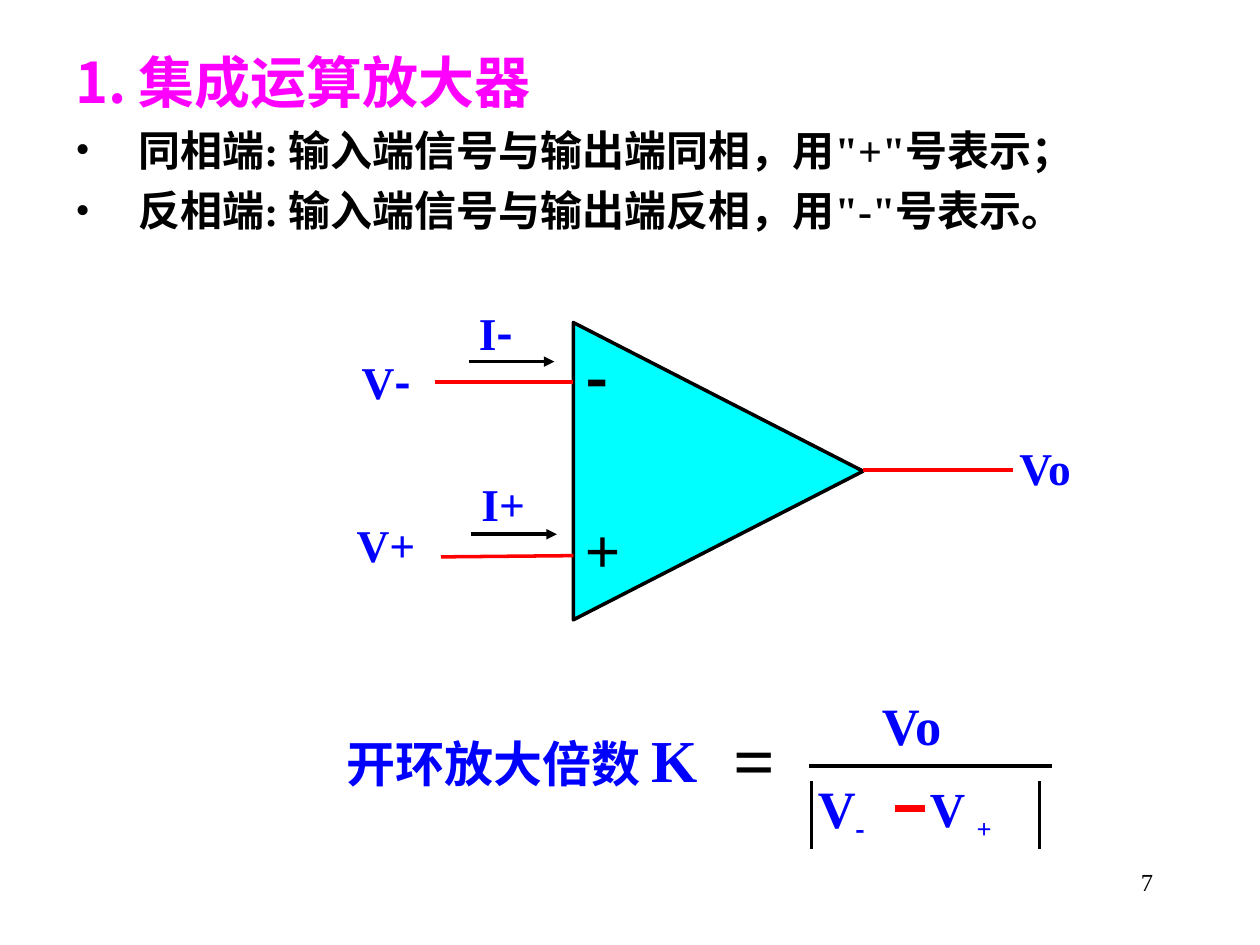
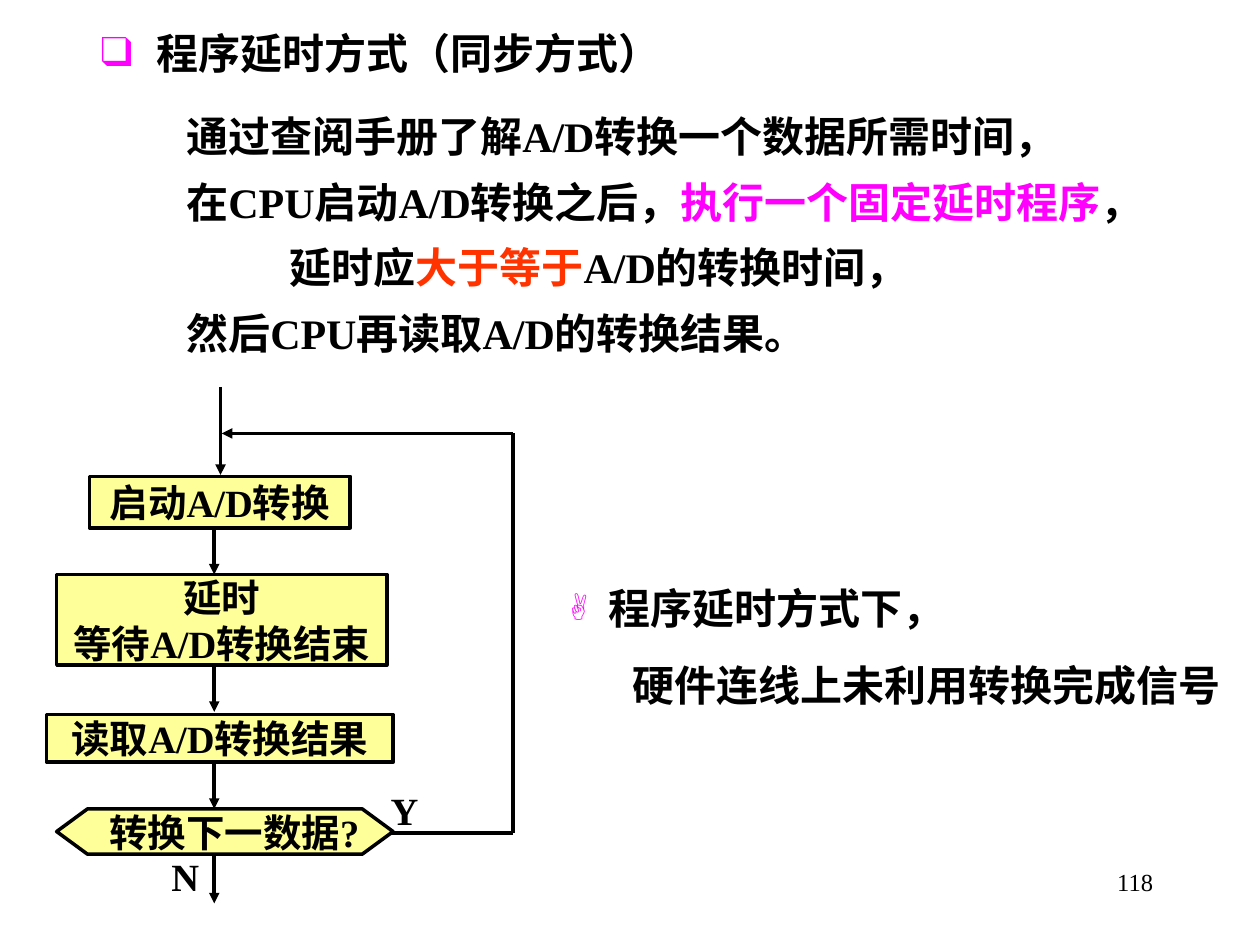
from lxml import etree
from pptx import Presentation
from pptx.dml.color import RGBColor
from pptx.enum import lang, shapes, text
from pptx.oxml import ns
from pptx.util import Inches, Pt

COLORS = {"black": "000000", "white": "FFFFFF", "blue": "0000FF", "red": "FF0000",
          "magenta": "FF00FF", "orange": "FF3300", "cyan": "00FFFF", "yellow": "FFFF99"}
SERIF, SANS = "Times New Roman", "Noto Sans CJK SC"
LINE_HEIGHT = 1.19
INSET = (0.1, 0.05)
SHAPE = shapes.MSO_SHAPE
CENTER, RIGHT = text.PP_ALIGN.CENTER, text.PP_ALIGN.RIGHT


def rgb(name):
    return RGBColor.from_string(COLORS[name])


def sub(parent, tag, **attrs):
    el = etree.SubElement(parent, ns.qn(tag))
    for key, value in attrs.items():
        el.set(key, str(value))
    return el


def run(words, size=24, color="black", font=SERIF, bold=True, base=0):
    return dict(words=words, size=size, color=color, font=font, bold=bold, base=base)


def add_run(p, words, size, color, font, bold, base):
    r = p.add_run()
    r.text = words
    f = r.font
    f.size, f.bold, f.name = Pt(size), bold, font
    f.color.rgb = rgb(color)
    f.language_id = lang.MSO_LANGUAGE_ID.SIMPLIFIED_CHINESE
    rpr = r._r.get_or_add_rPr()
    sub(rpr, "a:ea", typeface=SANS)
    if base:
        rpr.set("baseline", str(base * 1000))


def para(*runs, align=None, left=0, hang=0, before=0, after=0, bullet=None):
    return dict(runs=runs, align=align, left=left, hang=hang, before=before,
                after=after, bullet=bullet)


def add_bullet(ppr, char, color, scale=100, font=SERIF):
    """Mark a paragraph with a character, or number it when char is '1.'."""
    sub(sub(ppr, "a:buClr"), "a:srgbClr", val=COLORS[color])
    sub(ppr, "a:buSzPct", val=scale * 1000)
    sub(ppr, "a:buFont", typeface=font)
    if char == "1.":
        sub(ppr, "a:buAutoNum", type="arabicPeriod")
    else:
        sub(ppr, "a:buChar", char=char)


def set_line_height(p, runs):
    """Hold Chinese lines of one size to the height of the Latin font."""
    sizes = {r["size"] for r in runs}
    if len(sizes) == 1 and not all(r["words"].isascii() for r in runs):
        p.line_spacing = Pt(sizes.pop() * LINE_HEIGHT)


def fill_text(tf, paras, inset=(0, 0), wrap=True, anchor=text.MSO_ANCHOR.TOP):
    tf.word_wrap = wrap
    tf.vertical_anchor = anchor
    tf.margin_left = tf.margin_right = Inches(inset[0])
    tf.margin_top = tf.margin_bottom = Inches(inset[1])
    for i, spec in enumerate(paras):
        p = tf.add_paragraph() if i else tf.paragraphs[0]
        p.alignment = spec["align"]
        p.space_before, p.space_after = Pt(spec["before"]), Pt(spec["after"])
        set_line_height(p, spec["runs"])
        ppr = p._p.get_or_add_pPr()
        ppr.set("marL", str(Inches(spec["left"])))
        ppr.set("indent", str(Inches(-spec["hang"])))
        ppr.set("hangingPunct", "0")
        if spec["bullet"]:
            add_bullet(ppr, *spec["bullet"])
        for r in spec["runs"]:
            add_run(p, **r)


def add_text(s, at, *paras, fill=None, **options):
    tb = s.shapes.add_textbox(*map(Inches, at))
    if fill:
        tb.fill.solid()
        tb.fill.fore_color.rgb = rgb(fill)
    fill_text(tb.text_frame, paras, **options)


def add_label(s, at, *runs, align=None, fill=None):
    add_text(s, at, para(*runs, align=align), fill=fill)


def add_box(s, kind, at, fill, *lines):
    sp = s.shapes.add_shape(kind, *map(Inches, at))
    sp.shadow.inherit = False
    sp.fill.solid()
    sp.fill.fore_color.rgb = rgb(fill)
    sp.line.color.rgb = rgb("black")
    sp.line.width = Pt(2)
    if lines:
        fill_text(sp.text_frame, [para(run(t, 22), align=CENTER) for t in lines],
                  anchor=text.MSO_ANCHOR.MIDDLE)
    return sp


def add_line(s, x1, y1, x2, y2, color="black", width=2, arrow=False):
    c = s.shapes.add_connector(shapes.MSO_CONNECTOR.STRAIGHT,
                               *map(Inches, (x1, y1, x2, y2)))
    c.line.color.rgb = rgb(color)
    c.line.width = Pt(width)
    if arrow:
        sub(c.line._get_or_add_ln(), "a:tailEnd", type="triangle")
    sub(c._element.spPr, "a:effectLst")


def add_page_number(s, number):
    add_text(s, (7.17, 6.83, 2.08, 0.5),
             para(run(str(number), 14, bold=False), align=RIGHT), inset=INSET)


def add_gain_formula(s):
    add_text(s, (6.25, 6.16, 2.22, 0.76),
             para(run("V", 30, "blue"), run("-", 26, "blue", SANS, base=-25), left=0.24),
             fill="white")
    add_label(s, (7.38, 6.18, 0.8, 0.6),
              run("V ", 28, "blue"), run("+", 26, "blue", base=-25))
    add_label(s, (2.75, 5.74, 3, 0.61),
              run("开环放大倍数 ", 28, "blue"), run("K", 34, "blue"))
    add_label(s, (5.82, 5.67, 0.5, 0.61), run("=", 42))
    add_label(s, (7, 5.5, 0.53, 0.54), run("Vo", 30, "blue"), fill="white")
    add_line(s, 6.42, 6.08, 8.35, 6.08)
    for x in (6.44, 8.25):
        add_line(s, x, 6.2, x, 6.74)
    add_line(s, 7.1, 6.42, 7.34, 6.42, "red", 4)


def add_amplifier(s):
    add_box(s, SHAPE.ISOSCELES_TRIANGLE, (4.52, 2.59, 2.36, 2.3), "cyan").rotation = 90
    add_label(s, (4.64, 4.05, 0.49, 0.63), run("+", 36))
    add_label(s, (4.65, 2.69, 0.49, 0.63), run("-", 36, font=SANS))
    for wire in ((6.85, 3.73, 8.04, 3.73), (3.45, 3.03, 4.55, 3.03),
                 (3.5, 4.42, 4.55, 4.41)):
        add_line(s, *wire, "red")
    for x, y in ((3.72, 2.87), (3.74, 4.24)):
        add_line(s, x, y, x + 0.68, y, arrow=True)
    for x, y, name, sign, font in (
            (8.09, 3.49, "V", "o", SERIF), (3.8, 2.42, "I", "-", SANS),
            (3.82, 3.78, "I", "+", SERIF), (2.83, 4.1, "V", "+", SERIF),
            (2.87, 2.81, "V", "-", SANS)):
        add_label(s, (x, y, 0.49, 0.46), run(name, 26, "blue"),
                  run(sign, 26, "blue", font))


def build_amplifier_slide(s):
    add_gain_formula(s)
    dot = dict(left=0.5, hang=0.5, before=6, bullet=("•", "black"))
    add_text(s, (0.5, 0.33, 8.38, 1.6),
             para(run("集成运算放大器", 32, "magenta", SANS), left=0.5, hang=0.5,
                  bullet=("1.", "magenta", 100, SANS)),
             para(run('同相端: 输入端信号与输出端同相，用"+"号表示；'), **dot),
             para(run('反相端: 输入端信号与输出端反相，用"-"号表示。'), **dot),
             inset=INSET)
    add_amplifier(s)
    add_page_number(s, 7)


def add_flowchart(s):
    axis, loop_x = 1.7, 4.07
    for at, *lines in (((0.71, 3.78, 2.07, 0.41), "启动A/D转换"),
                       ((0.45, 4.56, 2.62, 0.72), "延时", "等待A/D转换结束"),
                       ((0.37, 5.67, 2.75, 0.38), "读取A/D转换结果")):
        add_box(s, SHAPE.RECTANGLE, at, "yellow", *lines)
    add_line(s, 1.75, 3.07, 1.75, 3.77, arrow=True)
    for top, bottom in ((4.2, 4.56), (5.28, 5.65), (6.05, 6.42), (6.79, 7.17)):
        add_line(s, axis, top, axis, bottom, arrow=True)
    add_line(s, 2.93, 6.61, loop_x, 6.61)
    add_line(s, loop_x, 6.61, loop_x, 3.44)
    add_line(s, loop_x, 3.44, 1.76, 3.44, arrow=True)
    add_box(s, SHAPE.HEXAGON, (0.45, 6.42, 2.67, 0.36), "yellow").adjustments[0] = 0.68
    add_label(s, (0.77, 6.42, 2.18, 0.37), run("转换下一数据?", 22), align=CENTER)
    add_label(s, (3.1, 6.25, 0.4, 0.25), run("Y", 22))
    add_label(s, (1.36, 6.77, 0.4, 0.25), run("N", 22))


def build_delay_slide(s):
    add_text(s, (0.7, 0.17, 4.65, 0.5),
             para(run("程序延时方式（同步方式）"), left=0.44, hang=0.44, after=9,
                  bullet=("❑", "magenta")),
             inset=INSET, wrap=False)
    add_text(s, (4.42, 4.58, 5.42, 1.11),
             para(run("程序延时方式下，"), left=0.31, hang=0.31,
                  bullet=("✌", "magenta", 80)),
             para(run("硬件连线上未利用转换完成信号"), left=0.5, before=15),
             inset=INSET)
    add_flowchart(s)
    body = dict(left=0.5, after=9)
    add_text(s, (0.88, 0.83, 8.61, 2.08),
             para(run("通过查阅手册了解A/D转换一个数据所需时间，"), **body),
             para(run("在CPU启动A/D转换之后，"),
                  run("执行一个固定延时程序", color="magenta"), run("，"), **body),
             para(run("延时应"), run("大于等于", color="orange"),
                  run("A/D的转换时间，"), left=1.32, after=9),
             para(run("然后CPU再读取A/D的转换结果"), run("。", font=SANS), **body),
             inset=INSET, wrap=False)
    add_page_number(s, 118)


def main():
    prs = Presentation()
    prs.slide_width, prs.slide_height = Inches(10), Inches(7.5)
    for build in (build_amplifier_slide, build_delay_slide):
        build(prs.slides.add_slide(prs.slide_layouts[6]))
    prs.save("out.pptx")


if __name__ == "__main__":
    main()
